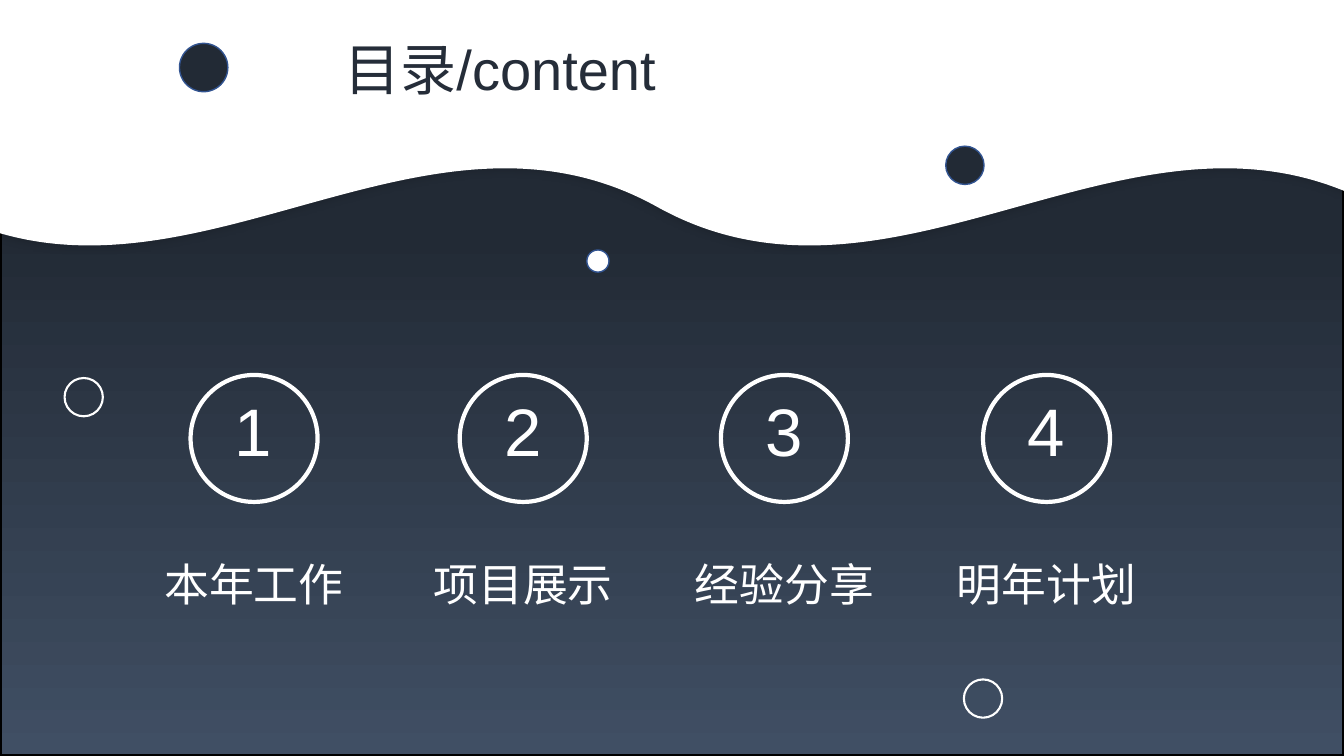
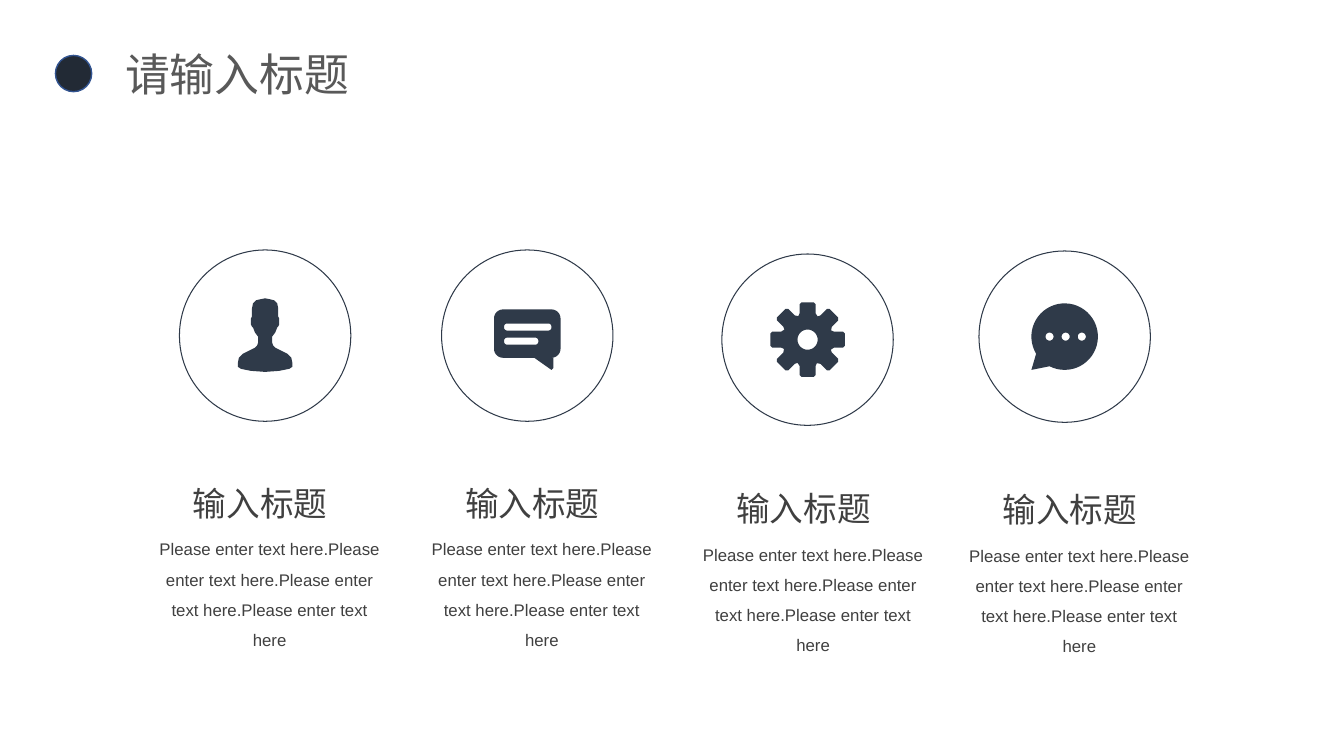
from dataclasses import dataclass
from math import cos, pi, radians, sin
from typing import Optional

from lxml import etree
from pptx import Presentation
from pptx.dml.color import RGBColor
from pptx.enum import shapes, text
from pptx.oxml import ns
from pptx.util import Inches, Pt

Point = tuple[float, float]
Contour = list[Point]

WHITE = RGBColor(0xFF, 0xFF, 0xFF)
BLACK = RGBColor(0x00, 0x00, 0x00)
NAVY = RGBColor(0x22, 0x2A, 0x35)
SLATE = RGBColor(0x40, 0x4F, 0x64)
DOT_EDGE = RGBColor(0x32, 0x54, 0x91)
ICON = RGBColor(0x2F, 0x3A, 0x49)
CONTENT_TITLE = RGBColor(0x25, 0x2D, 0x39)
PAGE_TITLE = RGBColor(0x59, 0x59, 0x59)
BODY = RGBColor(0x40, 0x40, 0x40)

FONT = "Arial"
LEFT, CENTER = text.PP_ALIGN.LEFT, text.PP_ALIGN.CENTER
BODY_TEXT = "Please enter text here.Please enter text here.Please enter text here.Please enter text here"


@dataclass(frozen=True)
class Box:
    x: float
    y: float
    w: float
    h: float

    def lengths(self):
        return [Inches(v) for v in (self.x, self.y, self.w, self.h)]


@dataclass(frozen=True)
class Style:
    size: float
    color: RGBColor
    align: text.PP_ALIGN = CENTER
    spacing: Optional[float] = None
    wrap: bool = True


@dataclass(frozen=True)
class Chapter:
    x: float
    label: str


@dataclass(frozen=True)
class Card:
    circle_x: float
    circle_y: float
    text_x: float
    text_y: float
    icon: list[Contour]


def write(sp, content: str, style: Style) -> None:
    tf = sp.text_frame
    tf.text = content
    tf.word_wrap = style.wrap
    tf.auto_size = text.MSO_AUTO_SIZE.SHAPE_TO_FIT_TEXT
    tf.vertical_anchor = text.MSO_ANCHOR.TOP
    p = tf.paragraphs[0]
    p.alignment = style.align
    if style.spacing:
        p.line_spacing = style.spacing
    font = p.runs[0].font
    font.name, font.size = FONT, Pt(style.size)
    font.color.rgb = style.color


def add_text(s, box: Box, content: str, style: Style) -> None:
    write(s.shapes.add_textbox(*box.lengths()), content, style)


def set_title(s, box: Box, content: str, style: Style) -> None:
    """Place the title placeholder in front of everything drawn so far."""
    sp = s.shapes.title
    sp.left, sp.top, sp.width, sp.height = box.lengths()
    write(sp, content, style)
    sp.element.getparent().append(sp.element)


def paint(sp, fill: Optional[RGBColor], line: Optional[RGBColor] = None,
          width: float = 1) -> None:
    sp.shadow.inherit = False
    if fill is None:
        sp.fill.background()
    else:
        sp.fill.solid()
        sp.fill.fore_color.rgb = fill
    if line is None:
        sp.line.fill.background()
    else:
        sp.line.color.rgb = line
        sp.line.width = Pt(width)


def add_circle(s, x: float, y: float, size: float, fill: Optional[RGBColor],
               line: RGBColor, width: float = 1) -> None:
    sp = s.shapes.add_shape(shapes.MSO_SHAPE.OVAL, *Box(x, y, size, size).lengths())
    paint(sp, fill, line, width)


def flip_vertical(sp) -> None:
    sp.element.spPr.find(ns.qn("a:xfrm")).set("flipV", "1")


def add_shadow(sp) -> None:
    effects = sp.element.spPr.find(ns.qn("a:effectLst"))
    shadow = etree.SubElement(effects, ns.qn("a:outerShdw"), blurRad=str(Pt(10)),
                              dist=str(Pt(3)), dir="16200000", rotWithShape="0")
    color = etree.SubElement(shadow, ns.qn("a:srgbClr"), val=str(BLACK))
    etree.SubElement(color, ns.qn("a:alpha"), val="38000")


def arc(cx: float, cy: float, r: float, start: float, end: float, steps: int = 8) -> Contour:
    angles = [radians(start + (end - start) * i / steps) for i in range(steps + 1)]
    return [(cx + r * cos(a), cy + r * sin(a)) for a in angles]


def disc(cx: float, cy: float, r: float) -> Contour:
    return arc(cx, cy, r, 0, 360, 32)


def rounded(x1: float, y1: float, x2: float, y2: float, r: float,
            tail: Optional[Contour] = None) -> Contour:
    """Rounded rectangle; tail points go between its two lower corners."""
    return (arc(x1 + r, y1 + r, r, 180, 270) + arc(x2 - r, y1 + r, r, 270, 360)
            + arc(x2 - r, y2 - r, r, 0, 90) + (tail or [])
            + arc(x1 + r, y2 - r, r, 90, 180))


def person_icon() -> list[Contour]:
    half = [(0, -0.37), (0.05, -0.36), (0.09, -0.35), (0.12, -0.32), (0.13, -0.27),
            (0.13, -0.19), (0.14, -0.17), (0.14, -0.11), (0.13, -0.09), (0.12, -0.08),
            (0.1, -0.03), (0.07, 0.01), (0.07, 0.07), (0.08, 0.1), (0.1, 0.12),
            (0.22, 0.18), (0.26, 0.22), (0.27, 0.27), (0.27, 0.31), (0.24, 0.33),
            (0.14, 0.35), (0, 0.36)]
    return [half + [(-x, y) for x, y in reversed(half[1:-1])]]


def message_icon() -> list[Contour]:
    tail = [(0.26, 0.21), (0.26, 0.32), (0.24, 0.34), (0.07, 0.22)]
    return [rounded(-0.33, -0.26, 0.33, 0.22, 0.09, tail),
            rounded(-0.23, -0.12, 0.24, -0.05, 0.03),
            rounded(-0.23, 0.02, 0.11, 0.09, 0.03)]


def gear_icon(teeth: int = 8) -> list[Contour]:
    tooth = [(-0.08, 0.26), (-0.08, 0.35), (-0.06, 0.37), (0.06, 0.37),
             (0.08, 0.35), (0.08, 0.26), (0.1, 0.23)]
    turns = [2 * pi * i / teeth for i in range(teeth)]
    rim = [(t * cos(a) + r * sin(a), t * sin(a) - r * cos(a))
           for a in turns for t, r in tooth]
    return [rim, disc(0, 0, 0.1)]


def chat_icon() -> list[Contour]:
    bubble = arc(0, 0, 0.33, -211, 117, 48) + [(-0.33, 0.33)]
    return [bubble] + [disc(-0.15 + 0.16 * i, 0, 0.04) for i in range(3)]


def add_icon(s, cx: float, cy: float, contours: list[Contour]) -> None:
    placed = [[(Inches(cx + x), Inches(cy + y)) for x, y in c] for c in contours]
    builder = s.shapes.build_freeform(*placed[0][0], scale=1.0)
    for i, points in enumerate(placed):
        if i:
            builder.move_to(*points[0])
        builder.add_line_segments(points[1:], close=True)
    paint(builder.convert_to_shape(), ICON)


CHAPTERS = [Chapter(1.89, "本年工作"), Chapter(4.56, "项目展示"),
            Chapter(7.15, "经验分享"), Chapter(9.75, "明年计划")]
CARDS = [Card(1.78, 2.48, 1.46, 4.74, person_icon()),
         Card(4.38, 2.48, 4.16, 4.74, message_icon()),
         Card(7.16, 2.52, 6.85, 4.79, gear_icon()),
         Card(9.71, 2.49, 9.49, 4.8, chat_icon())]


def add_wave_background(s) -> None:
    sea = s.shapes.add_shape(shapes.MSO_SHAPE.RECTANGLE, *Box(0, 0.91, 13.33, 6.59).lengths())
    paint(sea, NAVY, BLACK, 2.25)
    sea.fill.gradient()
    sea.fill.gradient_angle = 270
    for stop, color, position in zip(sea.fill.gradient_stops, (SLATE, NAVY), (0, 0.79)):
        stop.color.rgb = color
        stop.position = position
    flip_vertical(sea)

    wave = s.shapes.add_shape(shapes.MSO_SHAPE.DOUBLE_WAVE,
                              *Box(-0.68, -1.1, 14.34, 3.55).lengths())
    wave.adjustments[0], wave.adjustments[1] = 0.112, -0.002
    paint(wave, WHITE)
    add_shadow(wave)
    flip_vertical(wave)


def build_contents(s) -> None:
    add_wave_background(s)
    add_circle(s, 1.78, 0.43, 0.48, NAVY, DOT_EDGE)
    add_circle(s, 9.38, 1.45, 0.38, NAVY, DOT_EDGE)
    add_circle(s, 5.82, 2.48, 0.22, WHITE, DOT_EDGE)
    for x, y in ((0.64, 3.75), (9.56, 6.74)):
        add_circle(s, x, y, 0.38, None, WHITE, 1.5)
    for number, chapter in enumerate(CHAPTERS, 1):
        center = chapter.x + 0.63
        add_circle(s, chapter.x, 3.72, 1.26, None, WHITE, 3)
        add_text(s, Box(center - 0.41, 3.81, 0.81, 0.91), str(number), Style(48, WHITE))
        add_text(s, Box(center - 1.01, 5.47, 2.02, 0.64), chapter.label, Style(32, WHITE))
    set_title(s, Box(2.19, 0.29, 5.54, 0.77), "目录/content", Style(40, CONTENT_TITLE))


def build_cards(s) -> None:
    set_title(s, Box(1.14, 0.41, 2.45, 0.64), "请输入标题",
              Style(32, PAGE_TITLE, LEFT, wrap=False))
    add_circle(s, 0.55, 0.55, 0.36, NAVY, DOT_EDGE)
    for card in CARDS:
        add_circle(s, card.circle_x, card.circle_y, 1.7, None, ICON, 0.75)
        add_icon(s, card.circle_x + 0.85, card.circle_y + 0.85, card.icon)
        add_text(s, Box(card.text_x, card.text_y + 0.46, 2.43, 1.28), BODY_TEXT,
                 Style(12, BODY, spacing=1.5))
        add_text(s, Box(card.text_x, card.text_y, 2.24, 0.5), "输入标题", Style(24, BODY))


def main() -> None:
    prs = Presentation()
    prs.slide_width, prs.slide_height = Inches(13.33), Inches(7.5)
    title_only = prs.slide_layouts[5]
    for build in (build_contents, build_cards):
        build(prs.slides.add_slide(title_only))
    prs.save("out.pptx")


if __name__ == "__main__":
    main()
